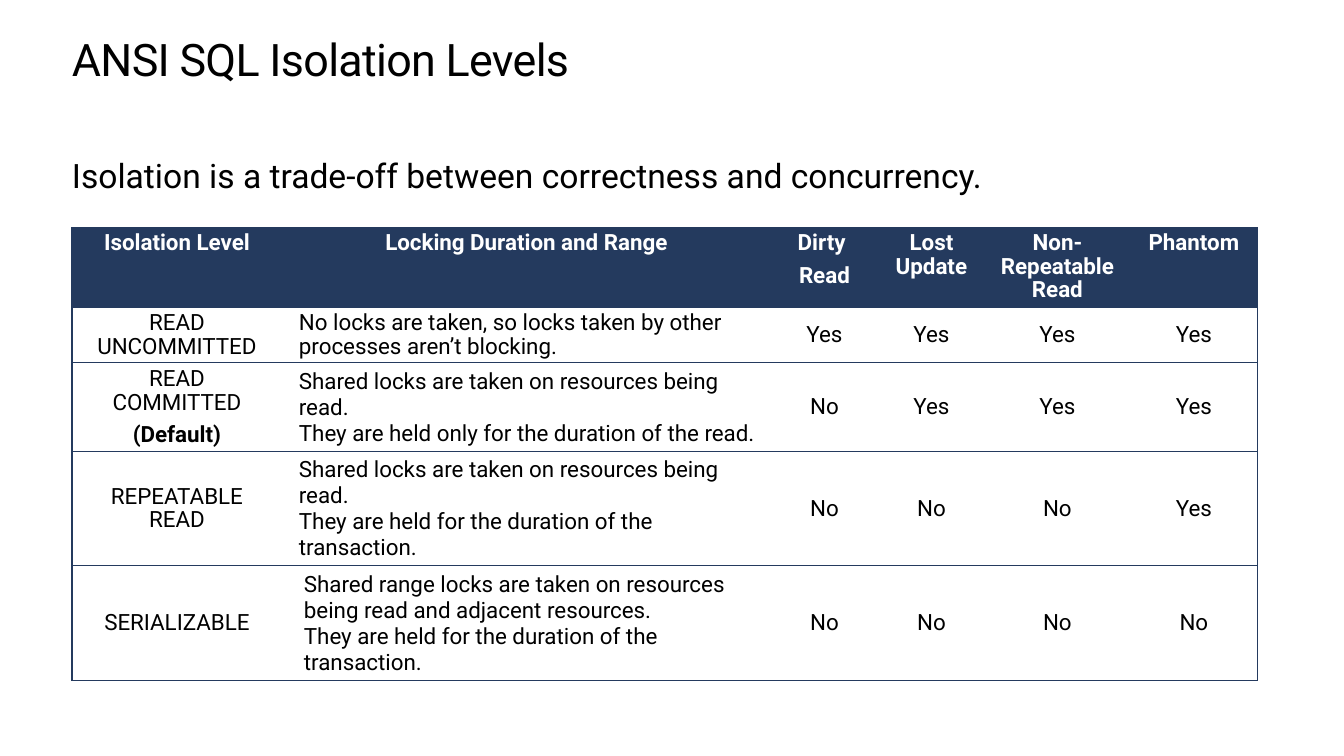
from lxml.etree import SubElement
from pptx import Presentation
from pptx.dml.color import RGBColor
from pptx.enum.text import MSO_ANCHOR, PP_ALIGN
from pptx.oxml.ns import qn
from pptx.util import Emu, Pt

# Content: a cell is a list of paragraphs
TITLE = "ANSI SQL Isolation Levels"
LEAD = "Isolation is a trade-off between correctness and concurrency."
HEADS = [["Isolation Level"], ["Locking Duration and Range"], ["Dirty ", "Read"],
         ["Lost Update"], ["Non-Repeatable Read"], ["Phantom"]]
SHARED = "Shared locks are taken on resources being read."
HELD = "They are held for the duration of the transaction."
LEVELS = [
    (["READ UNCOMMITTED"],
     ["No locks are taken, so locks taken by other processes aren’t blocking."],
     "Yes Yes Yes Yes"),
    (["READ COMMITTED", "(Default)"],
     [SHARED, "They are held only for the duration of the read."],
     "No Yes Yes Yes"),
    (["REPEATABLE READ"], [SHARED, HELD], "No No No Yes"),
    (["SERIALIZABLE"],
     ["Shared range locks are taken on resources being read and adjacent resources.", HELD],
     "No No No No"),
]
BOLD = {"(Default)"}

# Sizes in px
WIDE, HIGH = 1344, 756
LEFT, SPAN = 72, 1200
COLS = [210, 489, 107, 107, 145, 128]
ROWS = [58, 54, 77, 69, 96]
INDENT = [0, 7, 7, 7, 12]
NAVY, WHITE, BLACK = "243A5E", "FFFFFF", "000000"


def px(n):
    return Emu(round(n * 914400 / 100.8))


def color(code):
    return RGBColor.from_string(code)


def paint(fill, code):
    fill.solid()
    fill.fore_color.rgb = color(code)


def add_run(para, text, size, code, bold=False):
    run = para.add_run()
    run.text = text
    font = run.font
    font.name, font.size, font.bold = "Roboto", Pt(size), bold
    font.color.rgb = color(code)
    return run


def add_line(top, text, size):
    box = slide.shapes.add_textbox(px(LEFT), px(top), px(SPAN), px(50))
    frame = box.text_frame
    frame.word_wrap = True
    frame.margin_left = frame.margin_right = frame.margin_top = frame.margin_bottom = 0
    para = frame.paragraphs[0]
    return box, para, add_run(para, text, size, BLACK)


def add_edges(cell, drawn):
    props = cell._tc.get_or_add_tcPr()
    for side in "LRTB":
        if side in drawn:
            line = SubElement(props, qn("a:ln" + side), w=str(Pt(1)))
            fill = SubElement(line, qn("a:solidFill"))
            SubElement(fill, qn("a:srgbClr"), val=NAVY)
        else:
            line = SubElement(props, qn("a:ln" + side), w="0")
            SubElement(line, qn("a:noFill"))


def fill_cell(cell, texts, row, col):
    head = row == 0
    prose = col == 1 and not head
    edges = "TB" + ("L" if col == 0 else "") + ("R" if col == len(COLS) - 1 else "")
    add_edges(cell, edges)
    paint(cell.fill, NAVY if head else WHITE)
    cell.margin_left = cell.margin_right = px(10)
    cell.margin_top, cell.margin_bottom = px(4), px(3)
    cell.vertical_anchor = MSO_ANCHOR.TOP if head else MSO_ANCHOR.MIDDLE
    frame = cell.text_frame
    for i, text in enumerate(texts):
        para = frame.add_paragraph() if i else frame.paragraphs[0]
        para.alignment = PP_ALIGN.LEFT if prose else PP_ALIGN.CENTER
        if prose:
            para._p.get_or_add_pPr().set("marL", str(px(INDENT[row])))
        if not prose or len(texts) == 1:
            para.line_spacing = 0.9
            para.space_before = Pt(6.4 if i else 0)
        add_run(para, text, 16, WHITE if head else BLACK, head or text in BOLD)


deck = Presentation()
deck.slide_width, deck.slide_height = px(WIDE), px(HIGH)
slide = deck.slides.add_slide(deck.slide_layouts[6])

# Title and lead sentence
box, para, run = add_line(35, TITLE, 32)
paint(box.fill, WHITE)
para.line_spacing = Pt(36.2)
run._r.get_or_add_rPr().set("spc", "-50")
box, para, run = add_line(155, LEAD, 24)
para.space_before = Pt(6.7)

# Table of levels
grid = [HEADS] + [[name, locks] + [[word] for word in marks.split()]
                  for name, locks, marks in LEVELS]
table = slide.shapes.add_table(len(ROWS), len(COLS), px(LEFT), px(228),
                               px(sum(COLS)), px(sum(ROWS))).table
table.first_row = table.horz_banding = False
for col, width in zip(table.columns, COLS):
    col.width = px(width)
for row, height in zip(table.rows, ROWS):
    row.height = px(height)
for r, cells in enumerate(grid):
    for c, texts in enumerate(cells):
        fill_cell(table.cell(r, c), texts, r, c)

deck.save("out.pptx")
